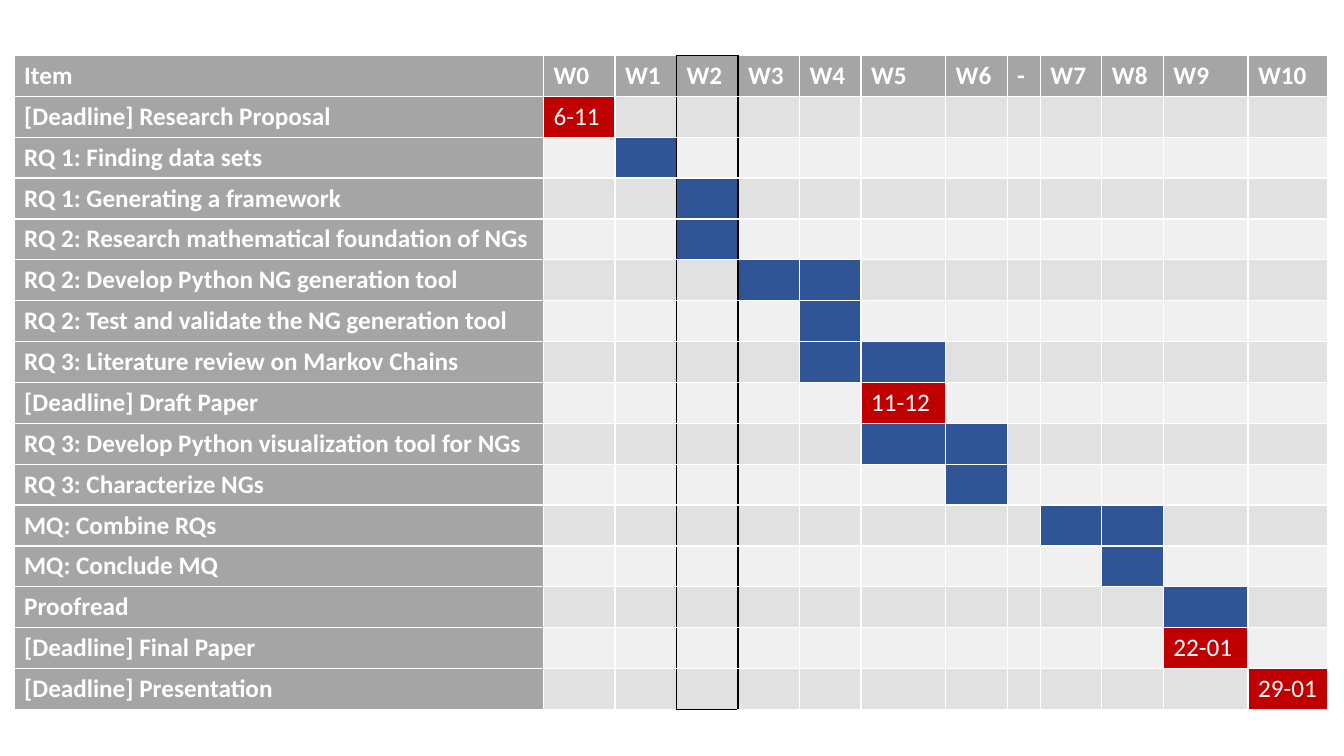
from lxml import etree
from pptx import Presentation
from pptx.dml.color import RGBColor
from pptx.oxml.ns import qn
from pptx.util import Inches, Pt

WHITE = RGBColor(0xFF, 0xFF, 0xFF)
BLACK = RGBColor(0x00, 0x00, 0x00)
HEAD_GREY = RGBColor(0xA5, 0xA5, 0xA5)
BANDS = (RGBColor(0xF0, 0xF0, 0xF0), RGBColor(0xE1, 0xE1, 0xE1))
TASK_BLUE = RGBColor(0x2F, 0x55, 0x97)
DEADLINE_RED = RGBColor(0xC0, 0x00, 0x00)

FONT = {"name": "Calibri", "size": Pt(18)}
ROW_HEIGHT = 0.4
ITEM_WIDTH = 5.25
WEEK_WIDTHS = {"W0": 0.71, "W1": 0.61, "W2": 0.61, "W3": 0.61, "W4": 0.61,
               "W5": 0.84, "W6": 0.61, "-": 0.33, "W7": 0.61, "W8": 0.61,
               "W9": 0.84, "W10": 0.79}
CURRENT_WEEK = "W2"

# Item, weeks it takes, date if it is a deadline
PLAN = [
    ("[Deadline] Research Proposal", ["W0"], "6-11"),
    ("RQ 1: Finding data sets", ["W1"], ""),
    ("RQ 1: Generating a framework", ["W2"], ""),
    ("RQ 2: Research mathematical foundation of NGs", ["W2"], ""),
    ("RQ 2: Develop Python NG generation tool", ["W3", "W4"], ""),
    ("RQ 2: Test and validate the NG generation tool", ["W4"], ""),
    ("RQ 3: Literature review on Markov Chains", ["W4", "W5"], ""),
    ("[Deadline] Draft Paper", ["W5"], "11-12"),
    ("RQ 3: Develop Python visualization tool for NGs", ["W5", "W6"], ""),
    ("RQ 3: Characterize NGs", ["W6"], ""),
    ("MQ: Combine RQs", ["W7", "W8"], ""),
    ("MQ: Conclude MQ", ["W8"], ""),
    ("Proofread", ["W9"], ""),
    ("[Deadline] Final Paper", ["W9"], "22-01"),
    ("[Deadline] Presentation", ["W10"], "29-01"),
]


def set_borders(cell, sides):
    """Draw thin black borders on the given sides, in the order L, R, T, B."""
    tc_pr = cell._tc.get_or_add_tcPr()
    for side in sides:
        ln = etree.SubElement(tc_pr, qn(f"a:ln{side}"), w=str(Pt(1)))
        fill = etree.SubElement(ln, qn("a:solidFill"))
        etree.SubElement(fill, qn("a:srgbClr"), val=str(BLACK))


def fill_cell(cell, color, text="", bold=True):
    cell.fill.solid()
    cell.fill.fore_color.rgb = color
    if text:
        r = cell.text_frame.paragraphs[0].add_run()
        r.text = text
        for name, value in {**FONT, "bold": bold}.items():
            setattr(r.font, name, value)
        r.font.color.rgb = WHITE


def outline_column(table, col):
    last = len(table.rows) - 1
    for row in range(last + 1):
        set_borders(table.cell(row, col - 1), "R")
        ends = "T" * (row == 0) + "B" * (row == last)
        set_borders(table.cell(row, col), "LR" + ends)
        set_borders(table.cell(row, col + 1), "L")


def add_gantt(slide, left, top):
    widths = [ITEM_WIDTH, *WEEK_WIDTHS.values()]
    weeks = list(WEEK_WIDTHS)
    n_rows = len(PLAN) + 1
    table = slide.shapes.add_table(
        n_rows, len(widths), Inches(left), Inches(top),
        Inches(sum(widths)), Inches(n_rows * ROW_HEIGHT)).table
    table.first_col = True
    for column, width in zip(table.columns, widths):
        column.width = Inches(width)
    for row in table.rows:
        row.height = Inches(ROW_HEIGHT)

    outline_column(table, weeks.index(CURRENT_WEEK) + 1)
    for col, title in enumerate(["Item", *weeks]):
        fill_cell(table.cell(0, col), HEAD_GREY, title)
    for row, (item, busy, date) in enumerate(PLAN, 1):
        fill_cell(table.cell(row, 0), HEAD_GREY, item)
        for col, week in enumerate(weeks, 1):
            cell = table.cell(row, col)
            if week in busy:
                fill_cell(cell, DEADLINE_RED if date else TASK_BLUE, date, bold=False)
            else:
                fill_cell(cell, BANDS[row % 2])


def main():
    prs = Presentation()
    prs.slide_width, prs.slide_height = Inches(13.33), Inches(7.5)
    slide = prs.slides.add_slide(prs.slide_layouts[6])
    add_gantt(slide, 0.14, 0.55)
    prs.save("out.pptx")


if __name__ == "__main__":
    main()
